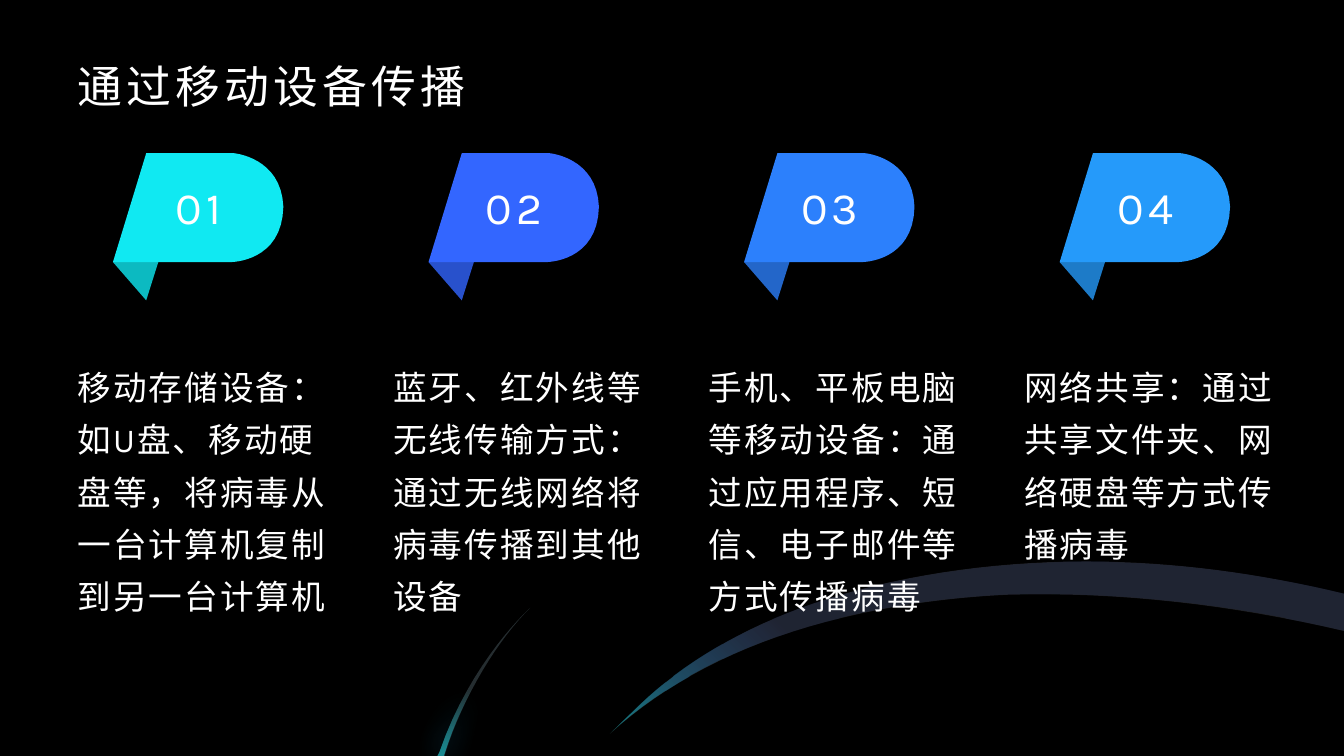
from lxml.etree import SubElement
from pptx import Presentation
from pptx.dml.color import RGBColor
from pptx.enum.text import MSO_ANCHOR as Anchor, PP_ALIGN as Align
from pptx.oxml import parse_xml
from pptx.oxml.ns import nsdecls, qn
from pptx.util import Inches, Pt

COLORS = {
    "background": "000000", "text": "FFFFFF",
    "swoosh": "1E1D1B", "blade": "252D30", "glow": "1EB5F7",
    "cyan": "10E9F2", "indigo": "3366FF", "blue": "2C80FC", "sky": "259AFA",
}
CURVE_STEPS = 16

items = [
    ("cyan", "移动存储设备：如U盘、移动硬盘等，将病毒从一台计算机复制到另一台计算机"),
    ("indigo", "蓝牙、红外线等无线传输方式：通过无线网络将病毒传播到其他设备"),
    ("blue", "手机、平板电脑等移动设备：通过应用程序、短信、电子邮件等方式传播病毒"),
    ("sky", "网络共享：通过共享文件夹、网络硬盘等方式传播病毒"),
]

prs = Presentation()
prs.slide_width, prs.slide_height = Inches(13.33), Inches(7.5)
slide = prs.slides.add_slide(prs.slide_layouts[5])
slide.background.fill.solid()
slide.background.fill.fore_color.rgb = RGBColor.from_string(COLORS["background"])


def add_outline(start, segments, color, left=0):
    """Segments hold one point for a line or three for a cubic curve."""
    points = [start]
    for segment in segments:
        if len(segment) == 1:
            points.append(segment[0])
            continue
        corners = [points[-1], *segment]
        for step in range(1, CURVE_STEPS + 1):
            t = step / CURVE_STEPS
            weights = ((1 - t) ** 3, 3 * t * (1 - t) ** 2, 3 * t * t * (1 - t), t ** 3)
            points.append(tuple(sum(w * c[axis] for w, c in zip(weights, corners))
                                for axis in (0, 1)))
    points = [(Inches(left + x), Inches(y)) for x, y in points]
    builder = slide.shapes.build_freeform(*points[0])
    builder.add_line_segments(points[1:], close=True)
    outline = builder.convert_to_shape()
    outline.fill.solid()
    outline.fill.fore_color.rgb = RGBColor.from_string(COLORS[color])
    outline.line.fill.background()
    outline.shadow.inherit = False
    return outline


def set_text(frame, text, size, font, spacing, margins):
    frame.word_wrap = True
    frame.margin_left, frame.margin_top, frame.margin_right, frame.margin_bottom = (
        Inches(m) for m in margins)
    frame.text = text
    run = frame.paragraphs[0].runs[0]
    run.font.size, run.font.name = Pt(size), font
    run.font.color.rgb = RGBColor.from_string(COLORS["text"])
    run._r.get_or_add_rPr().set("spc", str(int(spacing * 100)))


# Background arcs: a dark base, then a translucent gradient on top
swoosh = (10.77, 5.57), [
    [(11.65, 5.57), (12.5, 5.69), (13.33, 5.89)],
    [(13.33, 6.26)],
    [(12.22, 6), (11.1, 5.87), (10, 5.9)],
    [(9.36, 5.93), (8.76, 6.02), (8.19, 6.17)],
    [(7.32, 6.4), (6.6, 6.78), (6.05, 7.28)],
    [(6.36, 6.98)],
    [(6.78, 6.58), (7.36, 6.23), (8.06, 5.99)],
    [(8.85, 5.72), (9.8, 5.57), (10.77, 5.57)],
]
blade = (5.26, 6.03), [
    [(4.96, 6.32), (4.6, 6.88), (4.41, 7.49)],
    [(4.41, 7.5)], [(4.34, 7.5)], [(4.36, 7.46)],
    [(4.67, 6.55), (5.26, 6.03), (5.26, 6.03)],
]
add_outline(*swoosh, "swoosh")
add_outline(*blade, "blade")

tints = [  # arc, gradient angle, stops of (position, colour, opacity)
    (swoosh, 315, [(0, "cyan", 50), (31, "indigo", 10)]),
    (blade, 90, [(55, "cyan", 0), (100, "cyan", 50)]),
]
for arc, angle, stops in tints:
    tint = add_outline(*arc, "cyan")
    stop_xml = "".join(
        f'<a:gs pos="{pos * 1000}"><a:srgbClr val="{COLORS[color]}">'
        f'<a:alpha val="{opacity * 1000}"/></a:srgbClr></a:gs>'
        for pos, color, opacity in stops)
    gradient = parse_xml(
        f'<a:gradFill {nsdecls("a")} rotWithShape="1"><a:gsLst>{stop_xml}</a:gsLst>'
        f'<a:lin ang="{angle * 60000}" scaled="0"/></a:gradFill>')
    tint_props = tint._element.spPr
    tint_props.replace(tint_props.find(qn("a:solidFill")), gradient)

# Soft glow around the small arc
glow = SubElement(tint_props.find(qn("a:effectLst")), qn("a:outerShdw"),
                  blurRad=str(Pt(20)), dist="0", dir="0", algn="ctr", rotWithShape="0")
SubElement(glow, qn("a:srgbClr"), val=COLORS["glow"])

# Title
title = slide.shapes.title
title.left, title.top, title.width, title.height = (
    Inches(v) for v in (0.67, 0.5, 12, 0.62))
set_text(title.text_frame, "通过移动设备传播", 32, "Roboto", 3, (0.1, 0, 0.1, 0))
title.text_frame.vertical_anchor = Anchor.BOTTOM
title.text_frame.paragraphs[0].alignment = Align.LEFT

# Four columns: numbered flag above its description
first_left, pitch = 0.67, 3.13
flag = (0.78, 1.52), [
    [(1.65, 1.52)],
    [(1.65, 1.52), (2.12, 1.56), (2.14, 2.05)],
    [(2.13, 2.6), (1.62, 2.6), (1.62, 2.6)],
    [(0.45, 2.6)],
]
fold = (0.45, 2.6), [[(0.78, 2.98)], [(0.9, 2.6)]]

for column, (color, description) in enumerate(items):
    left = first_left + column * pitch
    add_outline(*flag, color, left)
    fold_shape = add_outline(*fold, color, left)
    fold_color = fold_shape._element.spPr.find(qn("a:solidFill")).find(qn("a:srgbClr"))
    SubElement(fold_color, qn("a:alpha"), val="80000")

    number = slide.shapes.add_textbox(
        Inches(left + 0.81), Inches(1.66), Inches(0.98), Inches(0.78)).text_frame
    set_text(number, f"{column + 1:02d}", 32, "Karla", 3, (0, 0, 0, 0))
    number.vertical_anchor = Anchor.MIDDLE
    number.paragraphs[0].alignment = Align.CENTER

    body = slide.shapes.add_textbox(
        Inches(left), Inches(3.47), Inches(2.6), Inches(3.29)).text_frame
    set_text(body, description, 24, "Karla", 1.5, (0.1, 0.05, 0, 0.05))
    body.paragraphs[0].line_spacing = 1.3

prs.save("out.pptx")
